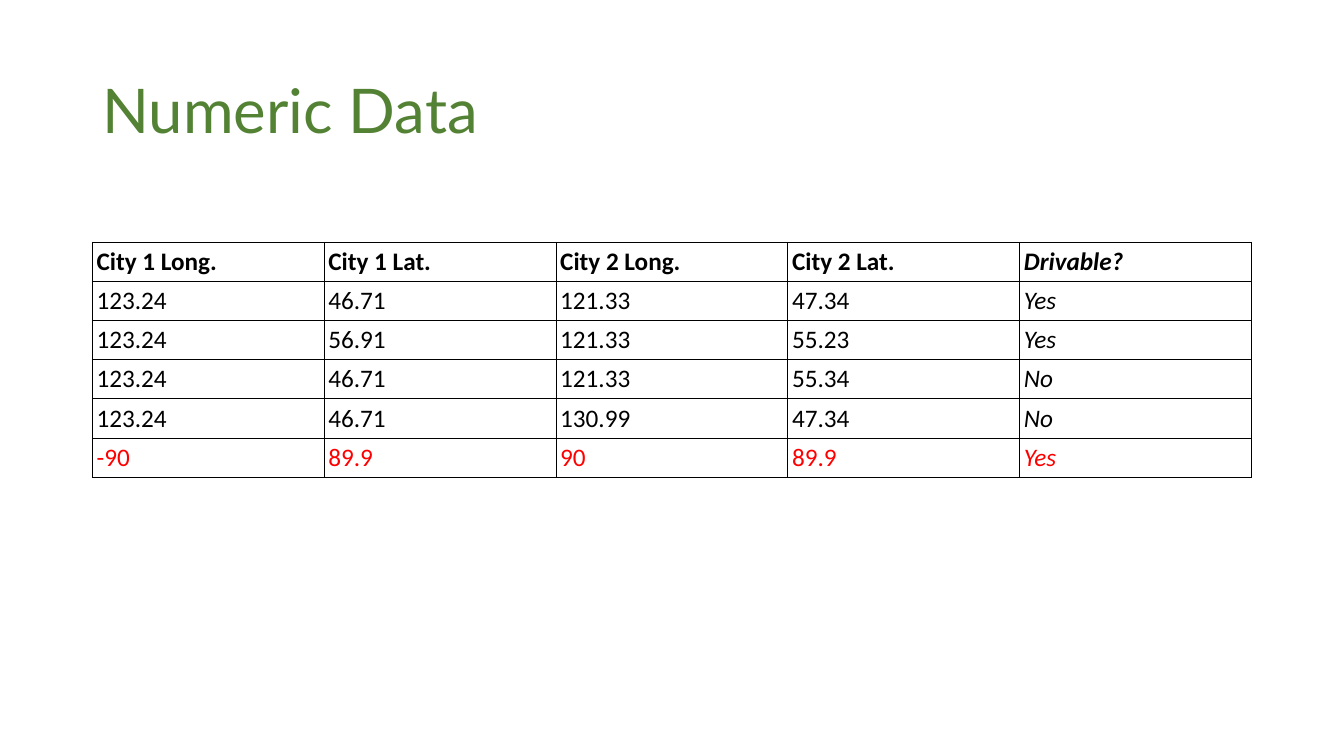
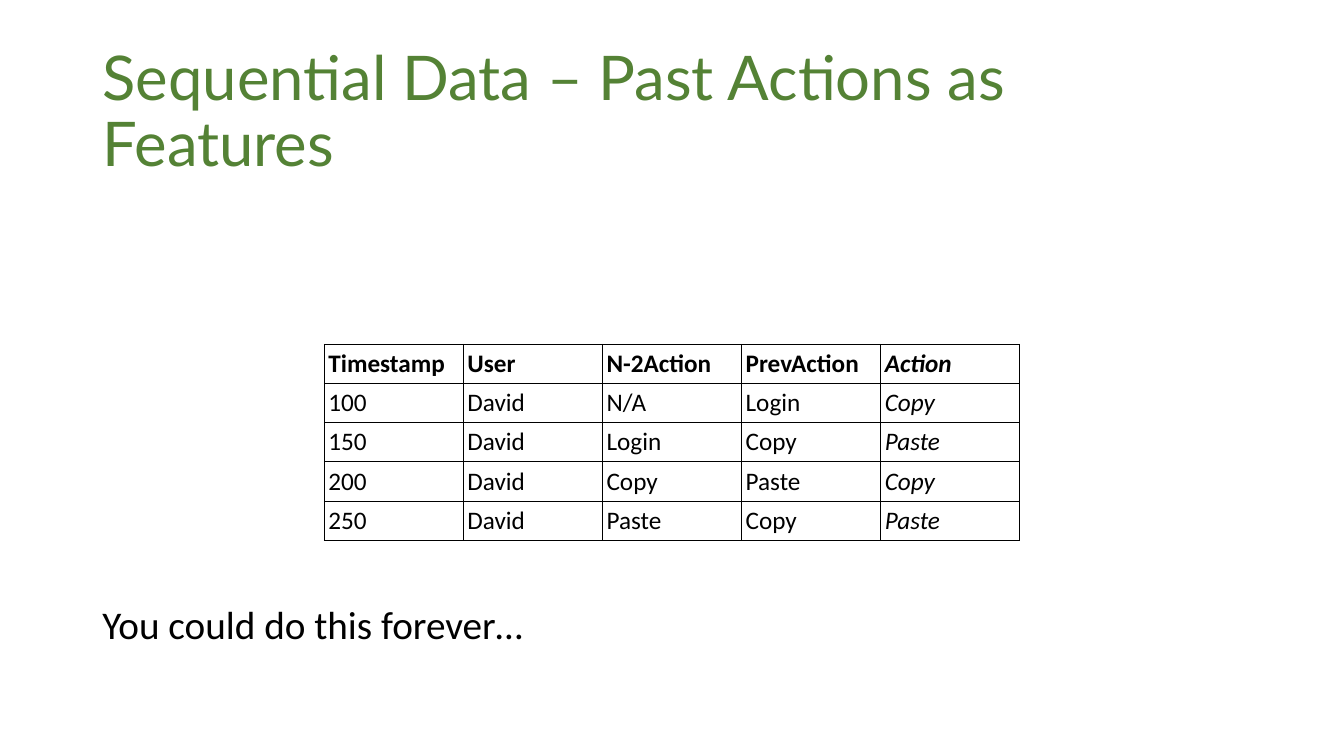
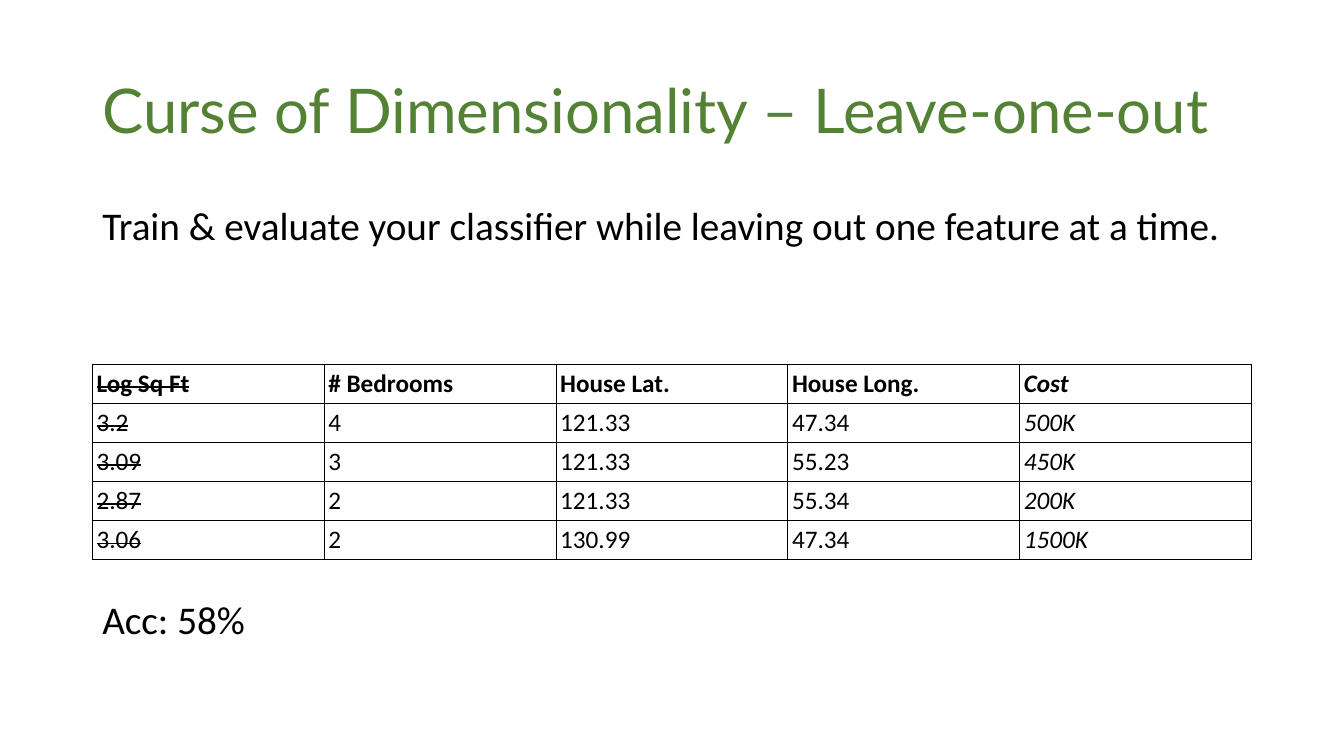
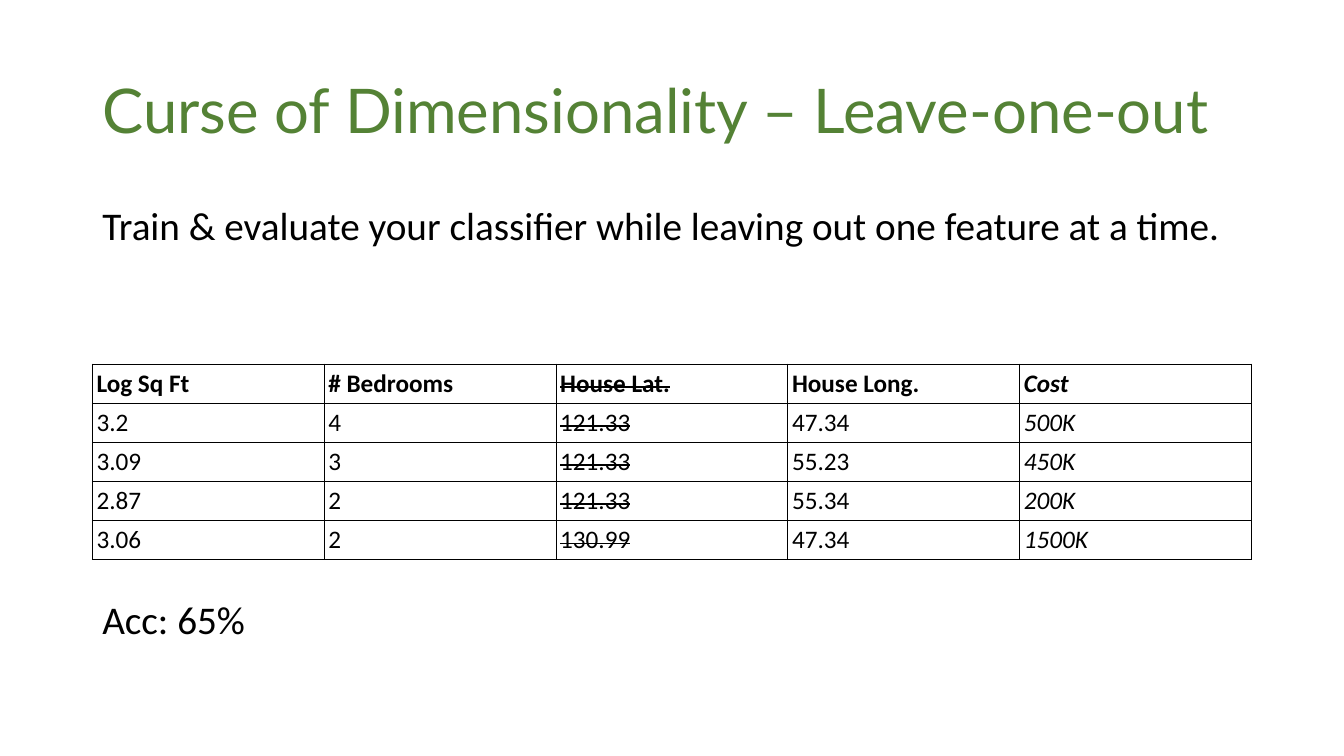
from dataclasses import dataclass

from lxml import etree
from pptx import Presentation
from pptx.dml.color import RGBColor
from pptx.enum.text import MSO_ANCHOR, MSO_AUTO_SIZE, PP_ALIGN
from pptx.oxml.ns import qn
from pptx.util import Pt

MIDDLE, TOP = MSO_ANCHOR.MIDDLE, MSO_ANCHOR.TOP
NO_FIT = MSO_AUTO_SIZE.NONE
LEFT = PP_ALIGN.LEFT
TITLE_ONLY = 5

# Content
CITIES = [
    ("City 1 Long.", "City 1 Lat.", "City 2 Long.", "City 2 Lat.", "Drivable?"),
    ("123.24", "46.71", "121.33", "47.34", "Yes"),
    ("123.24", "56.91", "121.33", "55.23", "Yes"),
    ("123.24", "46.71", "121.33", "55.34", "No"),
    ("123.24", "46.71", "130.99", "47.34", "No"),
    ("-90", "89.9", "90", "89.9", "Yes"),
]
ACTIONS = [
    ("Timestamp", "User", "N-2Action", "PrevAction", "Action"),
    ("100", "David", "N/A", "Login", "Copy"),
    ("150", "David", "Login", "Copy", "Paste"),
    ("200", "David", "Copy", "Paste", "Copy"),
    ("250", "David", "Paste", "Copy", "Paste"),
]
HOUSES = [
    ("Log Sq Ft", "# Bedrooms", "House Lat.", "House Long.", "Cost"),
    ("3.2", "4", "121.33", "47.34", "500K"),
    ("3.09", "3", "121.33", "55.23", "450K"),
    ("2.87", "2", "121.33", "55.34", "200K"),
    ("3.06", "2", "130.99", "47.34", "1500K"),
]
LEAVE_ONE_OUT = {
    "title": "Curse of Dimensionality – Leave-one-out",
    "rows": HOUSES,
    "table_top": 260,
}
ADVICE = (144, "Train & evaluate your classifier while leaving out one feature at a time.")

# Notes are (top, text) pairs
SLIDES = [
    {"title": "Numeric Data", "rows": CITIES, "table_top": 173, "red_row": 5},
    {"title": "Sequential Data – Past Actions as Features", "rows": ACTIONS,
     "table_top": 246, "table_width": 496.8,
     "notes": [(429, "You could do this forever…")]},
    {**LEAVE_ONE_OUT, "struck_column": 0, "notes": [ADVICE, (425.4, "Acc: 58%")]},
    {**LEAVE_ONE_OUT, "struck_column": 2, "notes": [ADVICE, (425.4, "Acc: 65%")]},
]


@dataclass(frozen=True)
class Theme:
    green: str = "548235"
    black: str = "000000"
    red: str = "FF0000"
    white: str = "FFFFFF"
    title_font: str = "Lato"
    body_font: str = "Calibri"
    title_size: float = 44
    note_size: float = 28
    cell_size: float = 18
    border: float = 0.75


THEME = Theme()

# Layout, in points
PAGE_WIDTH, PAGE_HEIGHT = 960, 540
MARGIN = 66
CONTENT_WIDTH = PAGE_WIDTH - 2 * MARGIN
TITLE_TOP, TITLE_HEIGHT = 28.75, 104.4
NOTE_HEIGHT = 38
ROW_HEIGHT = 28
CELL_INSET = 3


def write(frame, text, *, size, font=THEME.body_font, color=THEME.black,
          bold=False, italic=False, strike=False, spacing=1.0):
    """Fill a text frame with one formatted paragraph."""
    para = frame.paragraphs[0]
    para.alignment = LEFT
    para.line_spacing = spacing
    span = para.add_run()
    span.text = text
    span.font.name = font
    span.font.size = Pt(size)
    span.font.bold = bold
    span.font.italic = italic
    span.font.color.rgb = RGBColor.from_string(color)
    if strike:
        span.font._element.set("strike", "sngStrike")


def set_borders(cell):
    properties = cell._tc.get_or_add_tcPr()
    for side in ("lnL", "lnR", "lnT", "lnB"):
        line = etree.SubElement(properties, qn(f"a:{side}"), w=str(Pt(THEME.border)))
        fill = etree.SubElement(line, qn("a:solidFill"))
        etree.SubElement(fill, qn("a:srgbClr"), val=THEME.black)


def add_title(page, text):
    title = page.shapes.title
    title.left, title.top = Pt(MARGIN), Pt(TITLE_TOP)
    title.width, title.height = Pt(CONTENT_WIDTH), Pt(TITLE_HEIGHT)
    frame = title.text_frame
    frame.auto_size = NO_FIT
    frame.vertical_anchor = MIDDLE
    write(frame, text, size=THEME.title_size, font=THEME.title_font,
          color=THEME.green, spacing=0.9)


def add_note(page, top, text):
    box = page.shapes.add_textbox(Pt(MARGIN), Pt(top), Pt(CONTENT_WIDTH), Pt(NOTE_HEIGHT))
    frame = box.text_frame
    frame.word_wrap = True
    frame.vertical_anchor = TOP
    write(frame, text, size=THEME.note_size, spacing=0.9)


def add_data_table(page, rows, top, width, red_row, struck_column):
    """Draw a centred grid with a bold header and an italic last column."""
    columns = len(rows[0])
    table = page.shapes.add_table(
        len(rows), columns, Pt((PAGE_WIDTH - width) / 2), Pt(top),
        Pt(width), Pt(ROW_HEIGHT * len(rows))).table
    table.first_row = table.horz_banding = False
    for column in table.columns:
        column.width = Pt(width / columns)
    for r, values in enumerate(rows):
        table.rows[r].height = Pt(ROW_HEIGHT)
        for c, value in enumerate(values):
            cell = table.cell(r, c)
            cell.margin_left = cell.margin_right = Pt(CELL_INSET)
            cell.margin_top = cell.margin_bottom = Pt(CELL_INSET)
            cell.vertical_anchor = MIDDLE
            set_borders(cell)
            cell.fill.solid()
            cell.fill.fore_color.rgb = RGBColor.from_string(THEME.white)
            write(cell.text_frame, value, size=THEME.cell_size,
                  color=THEME.red if r == red_row else THEME.black,
                  bold=r == 0, italic=c == columns - 1, strike=c == struck_column)


def main():
    deck = Presentation()
    deck.slide_width, deck.slide_height = Pt(PAGE_WIDTH), Pt(PAGE_HEIGHT)
    for content in SLIDES:
        page = deck.slides.add_slide(deck.slide_layouts[TITLE_ONLY])
        add_title(page, content["title"])
        for top, text in content.get("notes", []):
            add_note(page, top, text)
        add_data_table(page, content["rows"], content["table_top"],
                       content.get("table_width", CONTENT_WIDTH),
                       content.get("red_row"), content.get("struck_column"))
    deck.save("out.pptx")


if __name__ == "__main__":
    main()
